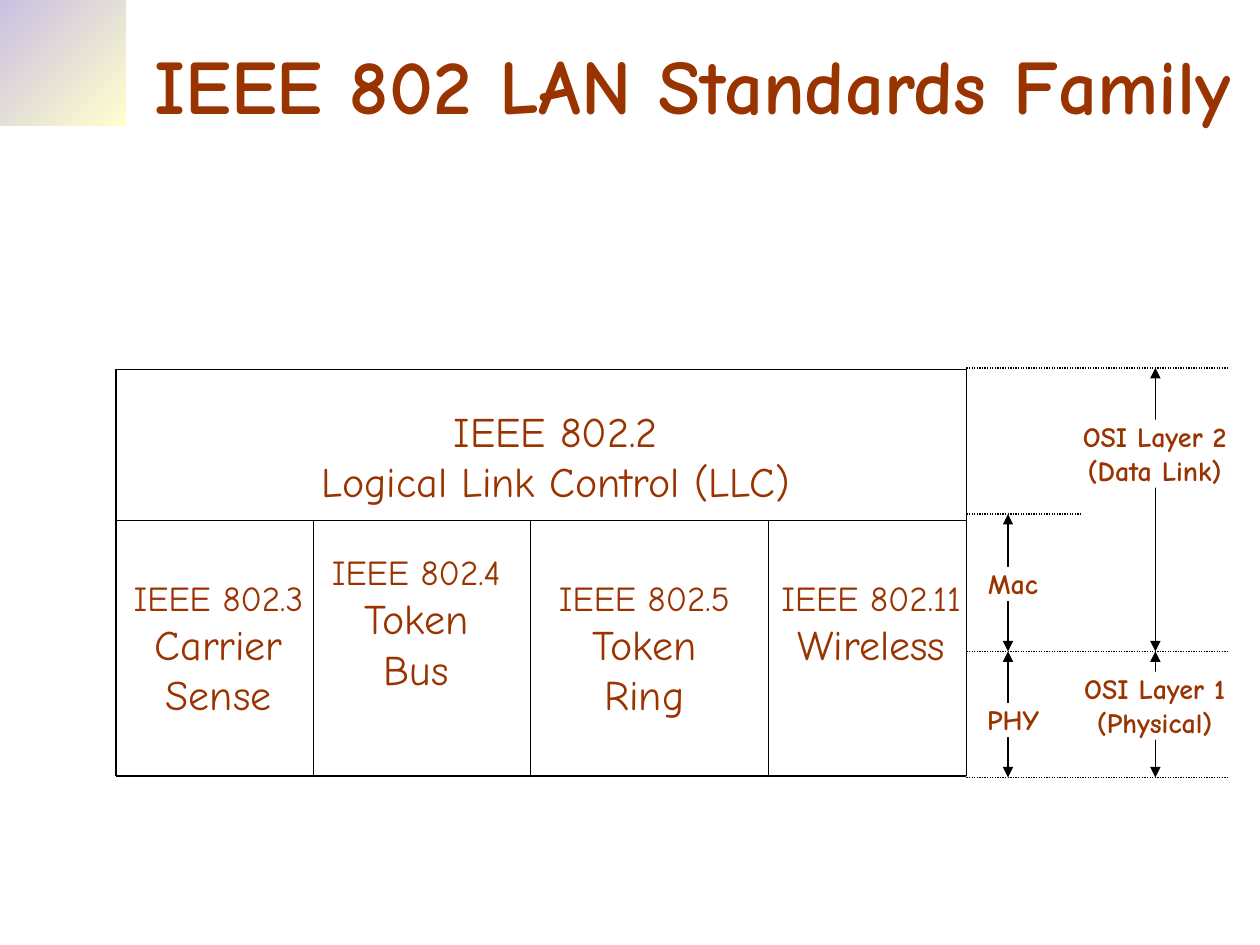
import pptx
import pptx.dml.color
import pptx.enum.dml
import pptx.enum.shapes
import pptx.enum.text
import pptx.util
import lxml.etree

Inches, Pt = pptx.util.Inches, pptx.util.Pt
RGB = pptx.dml.color.RGBColor.from_string
ANCHOR = pptx.enum.text.MSO_ANCHOR
COLORS = {"text": "993300", "line": "000000", "paper": "FFFFFF",
          "gear_light": "FFFFCC", "gear_dark": "CAC0E2"}
FONT = "Comic Neue"

# Grid of the standards table and of the layer scale beside it
columns = [0.92, 2.49, 4.21, 6.1, 7.67]
rows = [2.93, 4.13, 6.16]
left, right = columns[0], columns[-1]
top, middle, bottom = rows
layer_top, mac_top, phy_top, layer_bottom = 2.92, 4.08, 5.17, 6.17
sublayer_x, layer_x = 8, 9.17

deck = pptx.Presentation()
deck.slide_width, deck.slide_height = Inches(10), Inches(7.5)
slide = deck.slides.add_slide(deck.slide_layouts[5])


def add_line(x1, y1, x2, y2, dotted=False, arrows=False):
    line = slide.shapes.add_connector(
        pptx.enum.shapes.MSO_CONNECTOR.STRAIGHT,
        Inches(x1), Inches(y1), Inches(x2), Inches(y2))
    line.line.color.rgb = RGB(COLORS["line"])
    line.line.width = Pt(0.75)
    if dotted:
        line.line.dash_style = pptx.enum.dml.MSO_LINE.ROUND_DOT
    namespace = "{http://schemas.openxmlformats.org/drawingml/2006/main}"
    if arrows:
        for end in ("headEnd", "tailEnd"):
            lxml.etree.SubElement(line.line._get_or_add_ln(), namespace + end, type="triangle")
    lxml.etree.SubElement(line._element.spPr, namespace + "effectLst")


def add_label(x, y, width, height, lines, sizes, bold=False):
    """Add a white box of centred text, one paragraph per line."""
    box = slide.shapes.add_shape(pptx.enum.shapes.MSO_SHAPE.RECTANGLE,
                                 Inches(x), Inches(y), Inches(width), Inches(height))
    box.shadow.inherit = False
    box.fill.solid()
    box.fill.fore_color.rgb = RGB(COLORS["paper"])
    box.line.fill.background()
    frame = box.text_frame
    frame.text = "\n".join(lines)
    for paragraph, size in zip(frame.paragraphs, sizes):
        paragraph.alignment = pptx.enum.text.PP_ALIGN.CENTER
        paragraph.font.name = FONT
        paragraph.font.size = Pt(size)
        paragraph.font.bold = bold
        paragraph.font.color.rgb = RGB(COLORS["text"])
    return frame


# Title
title = slide.shapes.title
title.left, title.top, title.width, title.height = map(Inches, (1, 0.25, 9, 1.58))
title.text_frame.text = "IEEE 802 LAN Standards Family"
title.text_frame.vertical_anchor = ANCHOR.TOP
title.text_frame.auto_size = pptx.enum.text.MSO_AUTO_SIZE.NONE
heading = title.text_frame.paragraphs[0]
heading.alignment = pptx.enum.text.PP_ALIGN.CENTER
heading.font.name = FONT
heading.font.size = Pt(44)
heading.font.bold = True
heading.font.color.rgb = RGB(COLORS["text"])

# Gear in the corner
gear_points = [
    (0.7, 0.11), (0.63, 0.1), (0.62, 0.02), (0.53, 0.02), (0.52, 0.1), (0.46, 0.12),
    (0.37, 0.02), (0.32, 0.04), (0.37, 0.16), (0.33, 0.2), (0.2, 0.16), (0.17, 0.21),
    (0.27, 0.29), (0.26, 0.36), (0.12, 0.37), (0.12, 0.44), (0.26, 0.46), (0.27, 0.52),
    (0.17, 0.62), (0.2, 0.67), (0.32, 0.62), (0.36, 0.66), (0.3, 0.77), (0.36, 0.82),
    (0.46, 0.72), (0.52, 0.74), (0.53, 0.87), (0.62, 0.88), (0.63, 0.74), (0.71, 0.72),
    (0.8, 0.82), (0.86, 0.78), (0.8, 0.66), (0.84, 0.61), (0.96, 0.67), (0.99, 0.6),
    (0.89, 0.52), (0.9, 0.45), (1.03, 0.44), (1.03, 0.37), (0.9, 0.35), (0.88, 0.3),
    (0.99, 0.22), (0.95, 0.16), (0.83, 0.21), (0.79, 0.17), (0.86, 0.05), (0.8, 0.02)]
outline = slide.shapes.build_freeform(*gear_points[0], scale=Inches(1))
outline.add_line_segments(gear_points[1:], close=True)
gear = outline.convert_to_shape()
gear.shadow.inherit = False
gear.line.fill.background()
gear.fill.gradient()
gear.fill.gradient_angle = 135
for stop, position, shade in zip(gear.fill.gradient_stops, (0, 1), ("gear_light", "gear_dark")):
    stop.position = position
    stop.color.rgb = RGB(COLORS[shade])

# Table of standards: rules, then one label per cell
for y in rows:
    add_line(left, y, right, y)
for x in columns:
    add_line(x, top if x in (left, right) else middle, x, bottom)

standards = [
    (1.07, ["IEEE 802.3", "Carrier", "Sense"], False),
    (2.64, ["IEEE 802.4", "Token", "Bus"], True),
    (4.45, ["IEEE 802.5", "Token", "Ring"], False),
    (6.25, ["IEEE 802.11", "Wireless"], True)]
for x, lines, raised in standards:
    cell = add_label(x, 4.31, 1.33, 1.66, lines, (20, 24, 24))
    cell.word_wrap = False
    cell.vertical_anchor = ANCHOR.MIDDLE
    if raised:
        cell.margin_bottom = Inches(0.45)
llc = add_label(2.25, 3.2, 4.32, 0.83, ["IEEE 802.2", "Logical Link Control (LLC)"], (24, 24))
llc.word_wrap = False
llc.vertical_anchor = ANCHOR.MIDDLE

# Layer scale: dotted levels, double arrows, labels over the arrows
for y, end in ((layer_top, 9.75), (mac_top, 8.58), (phy_top, 9.75), (layer_bottom, 9.75)):
    add_line(right, y, end, y, dotted=True)

spans = [
    (sublayer_x, mac_top, phy_top), (sublayer_x, phy_top, layer_bottom),
    (layer_x, layer_top, phy_top), (layer_x, phy_top, layer_bottom)]
for x, start, end in spans:
    add_line(x, start, x, end, arrows=True)

scale_labels = [
    (7.75, 5.58, 0.58, ["PHY"]),
    (8.33, 5.33, 1.67, ["OSI Layer 1", "(Physical)"]),
    (7.75, 4.5, 0.58, ["Mac"]),
    (8.33, 3.33, 1.67, ["OSI Layer 2", "(Data Link)"])]
for x, y, width, lines in scale_labels:
    label = add_label(x, y, width, 0.27 * len(lines), lines, (16, 16), bold=True)
    label.word_wrap = True
    label.vertical_anchor = ANCHOR.TOP
    label.margin_left = label.margin_right = label.margin_top = label.margin_bottom = 0

deck.save("out.pptx")
